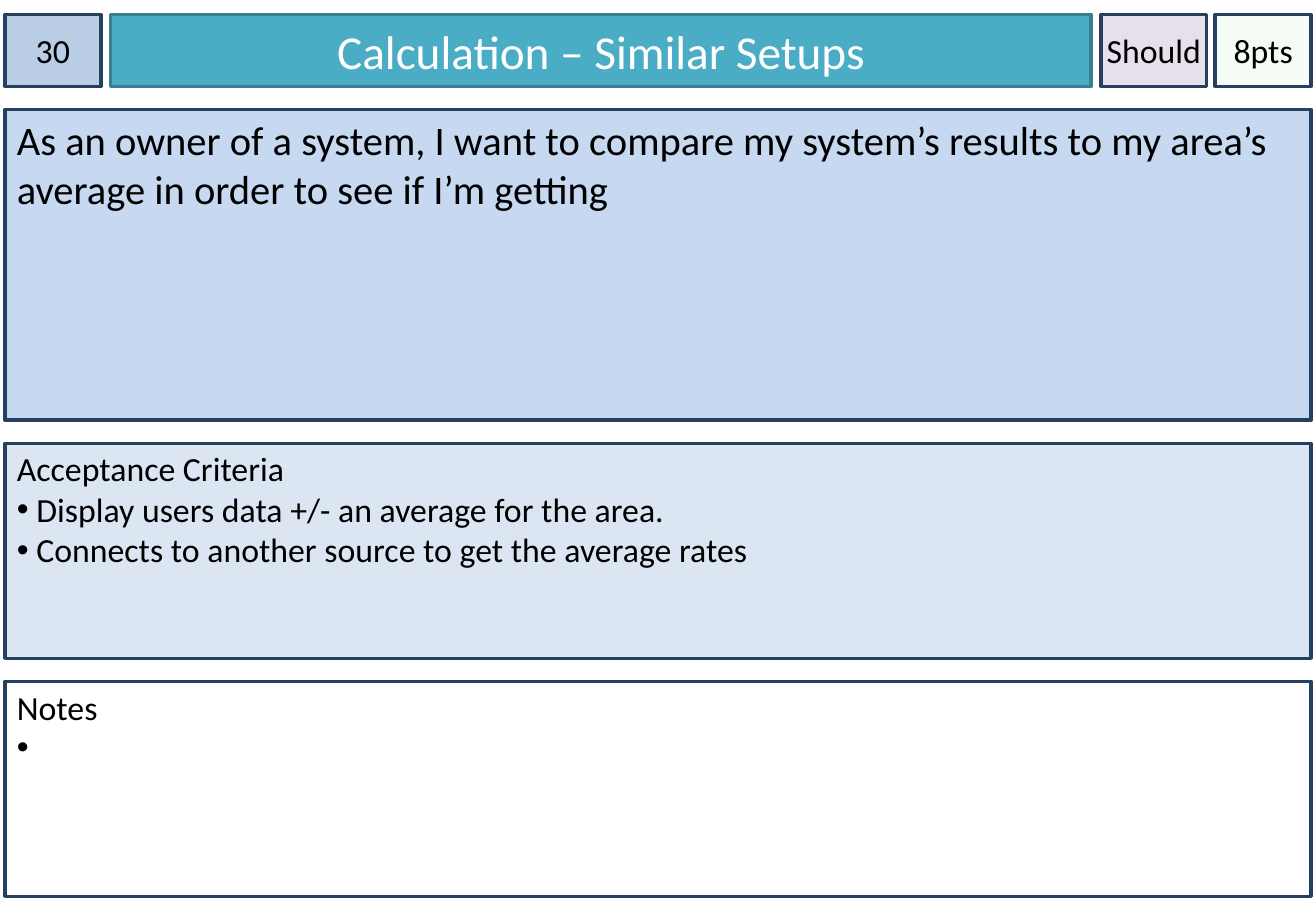
import pptx
import pptx.util
import pptx.dml.color
import pptx.enum.shapes
import pptx.enum.text
import pptx.oxml.ns
from lxml import etree

Inches, Pt = pptx.util.Inches, pptx.util.Pt
ANCHOR, ALIGN = pptx.enum.text.MSO_ANCHOR, pptx.enum.text.PP_ALIGN
qn = pptx.oxml.ns.qn

THEME = {
    "font": "Calibri",
    "title_size": 28, "story_size": 24, "body_size": 20,
    "text": "000000", "title_text": "FFFFFF",
    "border": "254061", "title_border": "377F92",
    "number": "B9CDE5", "title": "4BACC6", "priority": "E6E0EC", "points": "CCF0CD",
    "story": "C6D9F1", "criteria": "DCE6F2", "notes": "FFFFFF",
}


def color(name):
    return pptx.dml.color.RGBColor.from_string(THEME[name])


def style_box(box, lines, fill, size, align, anchor, insets,
              text="text", border="border"):
    box.fill.solid()
    box.fill.fore_color.rgb = color(fill)
    box.line.color.rgb = color(border)
    box.line.width = Pt(2)
    frame = box.text_frame
    frame.word_wrap = True
    frame.auto_size = pptx.enum.text.MSO_AUTO_SIZE.NONE
    frame.vertical_anchor = anchor
    side, top = insets
    frame.margin_left = frame.margin_right = Inches(side)
    frame.margin_top, frame.margin_bottom = Inches(top), Inches(0.05)
    frame.text = "\n".join(lines)
    for para in frame.paragraphs:
        para.alignment = align
        for span in para.runs:
            span.font.name = THEME["font"]
            span.font.size = Pt(THEME[size])
            span.font.color.rgb = color(text)


deck = pptx.Presentation()
deck.slide_width, deck.slide_height = Inches(10.83), Inches(7.5)
page = deck.slides.add_slide(deck.slide_layouts[5])
RECTANGLE = pptx.enum.shapes.MSO_SHAPE.RECTANGLE
header_top, header_height = 0.12, 0.59

# Title bar
title = page.shapes.title
title.left, title.top = Inches(0.91), Inches(header_top)
title.width, title.height = Inches(8.07), Inches(header_height)
style_box(title, ["Calculation – Similar Setups"], "title", "title_size",
          ALIGN.CENTER, ANCHOR.MIDDLE, (0.1, 0.05), "title_text", "title_border")

# Story number, points and priority tags
for label, fill, left, width in [
    ("30", "number", 0.04, 0.79),
    ("8pts", "points", 10, 0.79),
    ("Should", "priority", 9.06, 0.87),
]:
    tag = page.shapes.add_shape(RECTANGLE, Inches(left), Inches(header_top),
                                Inches(width), Inches(header_height))
    tag.shadow.inherit = False
    style_box(tag, [label], fill, "body_size", ALIGN.CENTER, ANCHOR.MIDDLE, (0, 0.05))
    if fill == "points":
        tint = tag.fill._xPr.find(qn("a:solidFill"))[0]
        etree.SubElement(tint, qn("a:alpha"), val="20000")
    if fill == "priority":
        tag.text_frame.word_wrap = False

# Stacked panels: the first line is plain, the others are bullets
panel_gap = 0.19
panel_top = 0.9
bullet_indent = Inches(0.16)
for fill, size, height, inset_top, lines in [
    ("story", "story_size", 2.56, 0.05,
     ["As an owner of a system, I want to compare my system’s results to my "
      "area’s average in order to see if I’m getting"]),
    ("criteria", "body_size", 1.77, 0.04,
     ["Acceptance Criteria",
      "Display users data +/- an average for the area.",
      "Connects to another source to get the average rates"]),
    ("notes", "body_size", 1.77, 0.04, ["Notes", " "]),
]:
    panel = page.shapes.add_shape(RECTANGLE, Inches(0.04), Inches(panel_top),
                                  Inches(10.75), Inches(height))
    panel.shadow.inherit = False
    style_box(panel, lines, fill, size, ALIGN.LEFT, ANCHOR.TOP, (0.1, inset_top))
    for para in panel.text_frame.paragraphs[1:]:
        properties = para._p.get_or_add_pPr()
        properties.set("marL", str(bullet_indent))
        properties.set("indent", str(-bullet_indent))
        etree.SubElement(properties, qn("a:buFont"), typeface="Arial")
        etree.SubElement(properties, qn("a:buChar"), char="•")
    panel_top += height + panel_gap

deck.save("out.pptx")
